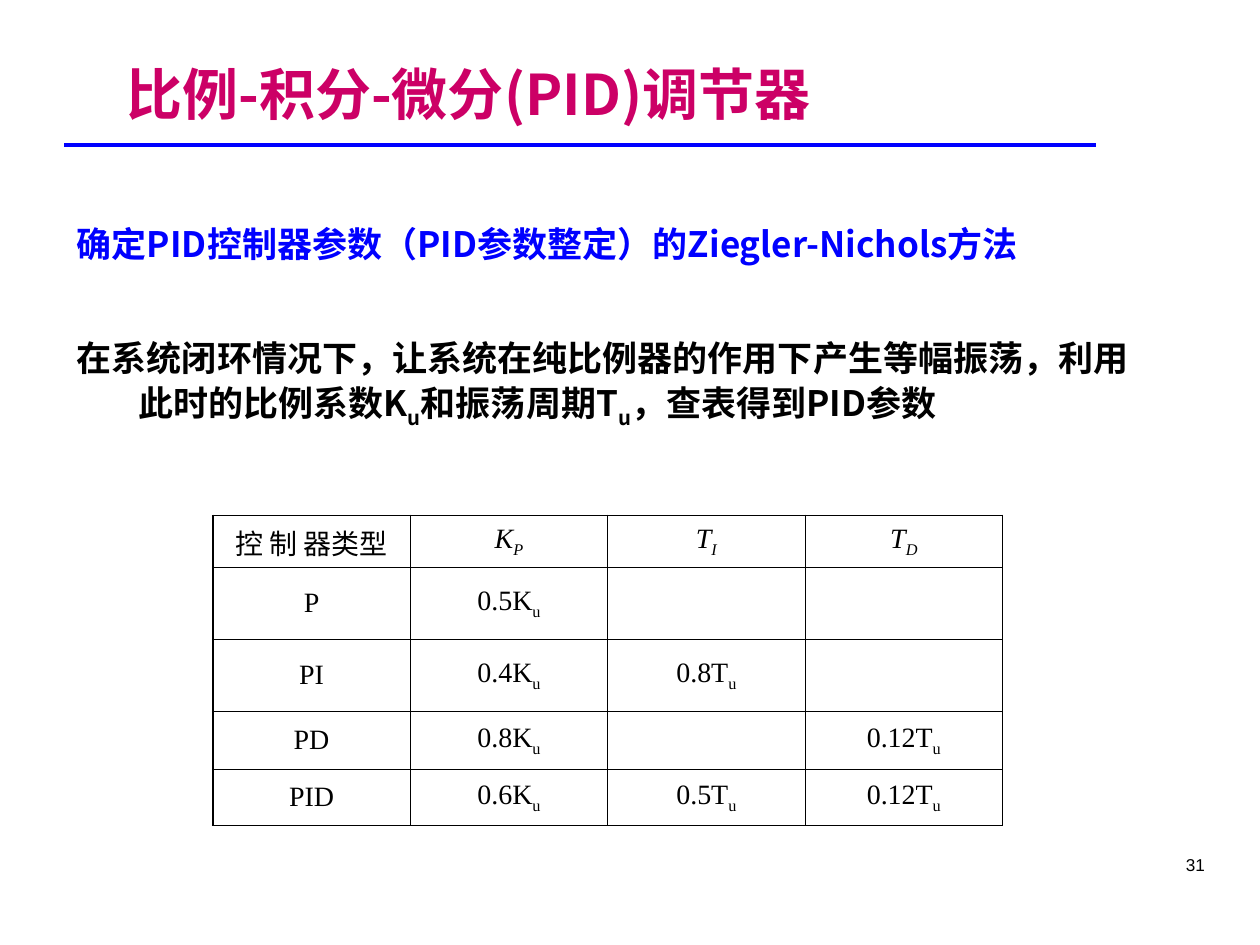
from lxml.etree import SubElement
from pptx import Presentation
from pptx.dml.color import RGBColor
from pptx.enum.shapes import MSO_CONNECTOR
from pptx.enum.text import MSO_ANCHOR, MSO_AUTO_SIZE, PP_ALIGN
from pptx.oxml.ns import qn
from pptx.util import Cm, Pt


def tint(code):
    return RGBColor.from_string(code)


def write(para, text, size=16, face="Times New Roman", color="000000",
          bold=False, italic=False, align=PP_ALIGN.LEFT, lines=None):
    """Fill a paragraph; every second piece between underscores is a subscript."""
    para.alignment = align
    if lines:
        para.line_spacing = lines
    for n, part in enumerate(text.split("_")):
        if not part:
            continue
        run = para.add_run()
        run.text = part
        font = run.font
        font.size, font.bold, font.italic = Pt(size), bold, italic
        font.color.rgb = tint(color)
        font.name = face
        props = run._r.get_or_add_rPr()
        if face.startswith("Noto"):
            SubElement(props, qn("a:ea"), typeface=face)
        if n % 2:
            props.set("baseline", "-25000")


deck = Presentation()
deck.slide_width, deck.slide_height = Cm(25.4), Cm(19.05)
slide = deck.slides.add_slide(deck.slide_layouts[5])
shapes = slide.shapes

# Title and rule
title = shapes.title
title.left, title.top, title.width, title.height = Cm(2.29), Cm(0.48), Cm(17.35), Cm(2.21)
frame = title.text_frame
frame.auto_size = MSO_AUTO_SIZE.NONE
frame.vertical_anchor = MSO_ANCHOR.BOTTOM
write(frame.paragraphs[0], "比例-积分-微分(PID)调节器", size=32,
      face="Noto Sans CJK JP", color="CC0066", bold=True)

rule = shapes.add_connector(MSO_CONNECTOR.STRAIGHT, Cm(1.3), Cm(2.92), Cm(22.1), Cm(2.92))
rule.line.color.rgb = tint("0000FF")
rule.line.width = Pt(2)
SubElement(rule._element.spPr, qn("a:effectLst"))

# Method text with hanging indents
body = shapes.add_textbox(Cm(1.3), Cm(4.3), Cm(22.02), Cm(4.7)).text_frame
body.word_wrap = True
notes = [
    ("确定PID控制器参数（PID参数整定）的Ziegler-Nichols方法", "0000FF", 0),
    ("在系统闭环情况下，让系统在纯比例器的作用下产生等幅振荡，"
     "利用此时的比例系数K_u_和振荡周期T_u_，查表得到PID参数", "000000", 39.5),
]
for n, (text, color, gap) in enumerate(notes):
    para = body.add_paragraph() if n else body.paragraphs[0]
    props = para._p.get_or_add_pPr()
    props.set("marL", str(Cm(1.24)))
    props.set("indent", str(-Cm(1.24)))
    para.space_before = Pt(gap)
    write(para, text, size=20, face="Noto Sans CJK SC", color=color, bold=True, lines=1.07)

# Tuning table
rows = [
    ["控 制 器类型", "K_P", "T_I", "T_D"],
    ["P", "0.5K_u", "", ""],
    ["PI", "0.4K_u", "0.8T_u", ""],
    ["PD", "0.8K_u", "", "0.12T_u"],
    ["PID", "0.6K_u", "0.5T_u", "0.12T_u"],
]
tall = [1.04, 1.45, 1.45, 1.17, 1.14]
wide = 3.98
last, end = len(rows) - 1, len(rows[0]) - 1
table = shapes.add_table(len(rows), len(rows[0]), Cm(4.29), Cm(10.39),
                         Cm(wide * len(rows[0])), Cm(sum(tall))).table
table.first_row = table.horz_banding = False
for col in table.columns:
    col.width = Cm(wide)
for r, row in enumerate(rows):
    table.rows[r].height = Cm(tall[r])
    for c, text in enumerate(row):
        cell = table.cell(r, c)
        cell.vertical_anchor = MSO_ANCHOR.MIDDLE
        props = cell._tc.get_or_add_tcPr()
        outer = {"lnL": c == 0, "lnR": c == end, "lnT": r == 0, "lnB": r == last}
        for side, edge in outer.items():
            line = SubElement(props, qn("a:" + side), w=str(Pt(1.08 if edge else 0.45)))
            fill = SubElement(line, qn("a:solidFill"))
            SubElement(fill, qn("a:srgbClr"), val="000000")
        cell.fill.background()
        write(cell.text_frame.paragraphs[0], text, italic=r == 0 and c > 0,
              align=PP_ALIGN.CENTER)

# Page number
page = shapes.add_textbox(Cm(21.21), Cm(17.17), Cm(3.33), Cm(0.71)).text_frame
page.word_wrap = True
write(page.paragraphs[0], "31", size=9.8, face="Arial", align=PP_ALIGN.RIGHT, lines=0.8)

deck.save("out.pptx")
